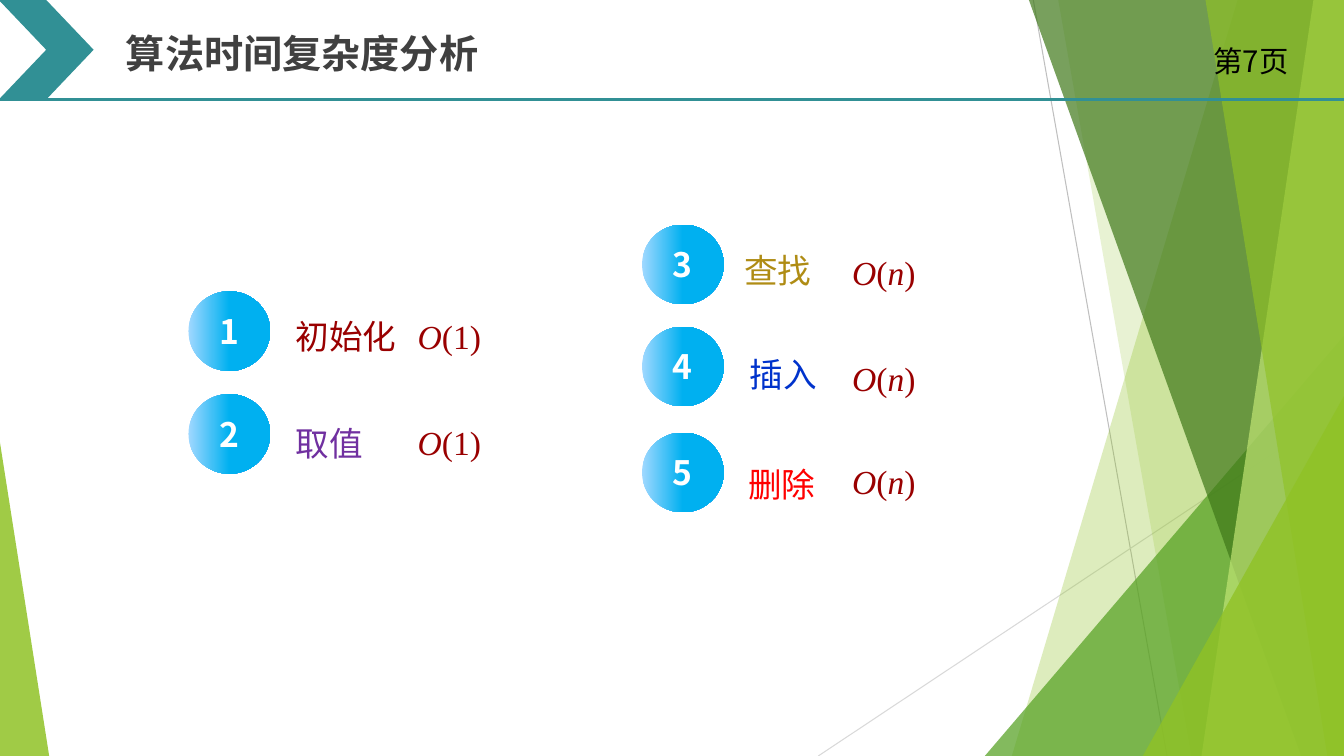
from lxml.etree import SubElement
from pptx import Presentation
from pptx.dml.color import RGBColor
from pptx.enum.shapes import MSO_CONNECTOR, MSO_SHAPE
from pptx.enum.text import MSO_ANCHOR, MSO_AUTO_SIZE, PP_ALIGN
from pptx.oxml.ns import qn
from pptx.util import Cm, Pt

WIDE, HIGH = 33.87, 19.05
TEAL, LIME, RED, WHITE = "319095", "90C226", "990000", "FFFFFF"


def rgb(code):
    return RGBColor.from_string(code)


class Deck:
    sans = "Noto Sans CJK SC"
    serif = "Times New Roman"
    size = 24

    def __init__(self):
        self.file = Presentation()
        self.file.slide_width, self.file.slide_height = Cm(WIDE), Cm(HIGH)
        self.slide = self.file.slides.add_slide(self.file.slide_layouts[5])
        self.shapes = self.slide.shapes

    def paint(self, shape, color, alpha=100):
        shape.shadow.inherit = False
        shape.line.fill.background()
        shape.fill.solid()
        shape.fill.fore_color.rgb = rgb(color)
        if alpha < 100:
            tone = shape.fill._xPr.find(qn("a:solidFill"))[0]
            SubElement(tone, qn("a:alpha"), val=str(alpha * 1000))

    def line(self, start, end, color, width):
        ends = [Cm(v) for v in (*start, *end)]
        line = self.shapes.add_connector(MSO_CONNECTOR.STRAIGHT, *ends)
        line.line.color.rgb = rgb(color)
        line.line.width = Pt(width)
        SubElement(line._element.spPr, qn("a:effectLst"))

    def shape(self, kind, box, color, alpha=100, tip=None):
        shape = self.shapes.add_shape(kind, *[Cm(v) for v in box])
        if tip is not None:
            shape.adjustments[0] = tip
        self.paint(shape, color, alpha)
        return shape

    def band(self, top, base, color, alpha):
        """Fill from a slanted left edge to the right side of the slide."""
        pen = self.shapes.build_freeform(Cm(top), 0)
        spots = [(WIDE, 0), (WIDE, HIGH), (base, HIGH)]
        pen.add_line_segments([(Cm(x), Cm(y)) for x, y in spots], close=True)
        self.paint(pen.convert_to_shape(), color, alpha)

    def run(self, para, text, color, font=sans, size=size, bold=False, slant=False):
        run = para.add_run()
        run.text = text
        face = run.font
        face.name, face.size, face.bold, face.italic = font, Pt(size), bold, slant
        face.color.rgb = rgb(color)
        SubElement(run._r.rPr, qn("a:ea"), typeface=font)

    def title(self, box, text, color):
        head = self.shapes.title
        head.left, head.top, head.width, head.height = [Cm(v) for v in box]
        frame = head.text_frame
        frame.auto_size = MSO_AUTO_SIZE.NONE
        frame.vertical_anchor = MSO_ANCHOR.MIDDLE
        para = frame.paragraphs[0]
        para.alignment = PP_ALIGN.LEFT
        self.run(para, text, color, size=28, bold=True)
        # Bring the title in front of the backdrop
        self.shapes._spTree.append(head._element)

    def text(self, box, wrap=False):
        frame = self.shapes.add_textbox(*[Cm(v) for v in box]).text_frame
        frame.word_wrap = wrap
        para = frame.paragraphs[0]
        if not wrap:
            para.alignment = PP_ALIGN.CENTER
            para.line_spacing = 1.5
        return para

    def badge(self, left, top, text):
        disc = self.shape(MSO_SHAPE.OVAL, (left, top, 2.06, 2.01), WHITE)
        disc.fill.gradient()
        disc.fill.gradient_angle = 0
        tones = [(0, "9FD8FF"), (0.5, "00B0F0")]
        for stop, (place, color) in zip(disc.fill.gradient_stops, tones):
            stop.position = place
            stop.color.rgb = rgb(color)
        disc.text_frame.vertical_anchor = MSO_ANCHOR.MIDDLE
        para = disc.text_frame.paragraphs[0]
        para.alignment = PP_ALIGN.CENTER
        self.run(para, text, WHITE, bold=True)

    def cost(self, left, top, size):
        para = self.text((left, top, 2.13, 1.6))
        for part in ("O", "(", size, ")"):
            self.run(para, part, RED, self.serif, slant=part.isalpha())


def main():
    deck = Deck()

    # Backdrop of lines and green facets
    deck.line((26.04, 0), (29.41, HIGH), "BFBFBF", 0.75)
    deck.line((WIDE, 10.24), (20.62, HIGH), "D9D9D9", 0.75)
    wedge = MSO_SHAPE.ISOSCELES_TRIANGLE
    deck.band(31.19, 25.5, LIME, 30)
    deck.band(26.67, 30.02, LIME, 20)
    deck.shape(wedge, (24.82, 8.46, 9.05, 10.59), "54A021", 72, 1)
    deck.band(25.93, 32.79, "3F7819", 70)
    deck.band(33.1, 30.28, "C0E474", 70)
    deck.band(30.38, 33.45, LIME, 65)
    deck.shape(wedge, (28.8, 9.98, 5.07, 9.07), LIME, 80, 1)
    deck.shape(wedge, (0, 11.15, 1.24, 7.9), LIME, 85, 0)

    # Header
    deck.line((0, 2.51), (WIDE, 2.51), TEAL, 2.25)
    deck.shape(MSO_SHAPE.CHEVRON, (-0.03, 0, 2.39, 2.51), TEAL)
    page = deck.text((30.33, 0.97, 3.02, 1.02), wrap=True)
    deck.run(page, "第7页", "000000", size=21)
    deck.title((2.92, 0.61, 11, 1.45), "算法时间复杂度分析", "404040")

    # Operations: badge place, label place, cost place
    steps = [
        ("初始化", RED, (4.75, 7.34), (7.19, 7.34), (10.26, 7.34), "1"),
        ("取值", "7030A0", (4.75, 9.93), (7.19, 10.03), (10.26, 10.01), "1"),
        ("查找", "AF8C14", (16.18, 5.66), (18.49, 5.66), (21.21, 5.72), "n"),
        ("插入", "0033CC", (16.18, 8.23), (18.62, 8.28), (21.21, 8.38), "n"),
        ("删除", "FF0000", (16.18, 10.9), (18.59, 11.05), (21.21, 10.97), "n"),
    ]
    for rank, (name, color, disc, label, cost, size) in enumerate(steps, 1):
        deck.badge(*disc, str(rank))
        wide = 0.55 + 0.84 * len(name)
        para = deck.text((*label, wide, 1.63))
        deck.run(para, name, color)
        deck.cost(*cost, size)

    deck.file.save("out.pptx")


if __name__ == "__main__":
    main()
